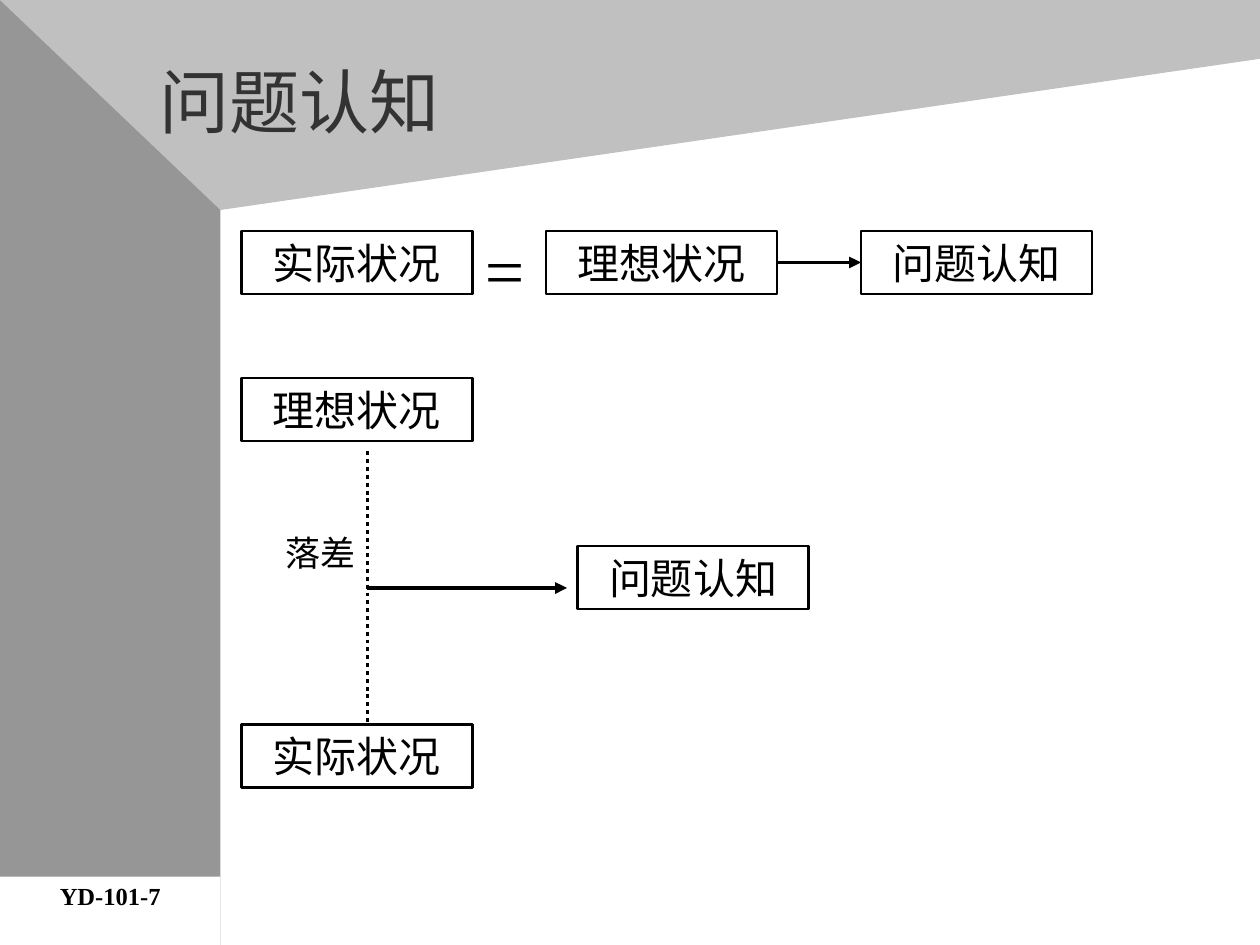
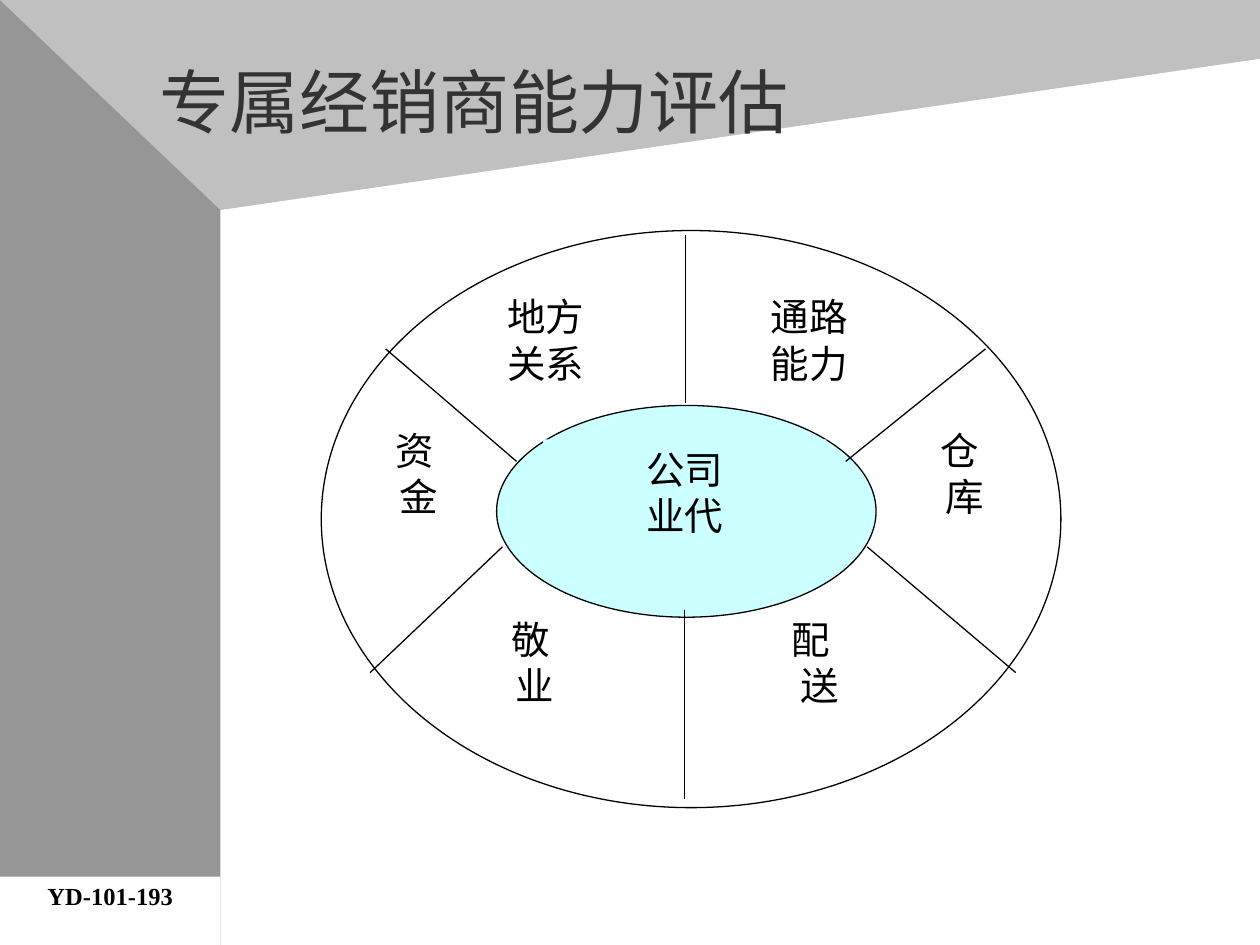
from dataclasses import dataclass

from lxml.etree import SubElement
from pptx import Presentation
from pptx.dml.color import RGBColor
from pptx.enum.dml import MSO_LINE
from pptx.enum.shapes import MSO_CONNECTOR, MSO_SHAPE
from pptx.enum.text import MSO_ANCHOR as Anchor, PP_ALIGN as Align
from pptx.oxml.ns import qn
from pptx.util import Inches, Pt

WIDTH, HEIGHT = 10, 7.5
BLACK, WHITE, TITLE_GREY = "000000", "FFFFFF", "333333"
SIDE_GREY, TOP_GREY, AQUA = "969696", "C0C0C0", "CCFFFF"
SERIF, TITLE_FONT, CJK_FONT = "Times New Roman", "Karla", "Noto Sans CJK SC"


@dataclass
class Area:
    left: float
    top: float
    width: float
    height: float
    cols: float
    rows: float

    def point(self, col, row):
        return (Inches(self.left + self.width * col / self.cols),
                Inches(self.top + self.height * row / self.rows))

    def box(self, col, row, cols, rows):
        return (*self.point(col, row),
                Inches(self.width * cols / self.cols),
                Inches(self.height * rows / self.rows))

    def region(self, col, row, cols, rows):
        col_width, row_height = self.width / self.cols, self.height / self.rows
        return Area(self.left + col * col_width, self.top + row * row_height,
                    cols * col_width, rows * row_height, cols, rows)


PAGE = Area(0, 0, WIDTH, HEIGHT, 120, 90)


def colour(value):
    return RGBColor.from_string(value)


def paint(shape, fill=None, line_width=None):
    shape.shadow.inherit = False
    if fill:
        shape.fill.solid()
        shape.fill.fore_color.rgb = colour(fill)
    else:
        shape.fill.background()
    if line_width:
        shape.line.color.rgb = colour(BLACK)
        shape.line.width = Pt(line_width)
    else:
        shape.line.fill.background()
    return shape


def add_figure(slide, kind, box, fill=None, line_width=None):
    return paint(slide.shapes.add_shape(kind, *box), fill, line_width)


def write(shape, lines, size, font=SERIF, ink=BLACK, align=Align.CENTER,
          bold=False, margins=(0.1, 0.05)):
    frame = shape.text_frame
    frame.word_wrap = True
    frame.vertical_anchor = Anchor.TOP
    frame.margin_left = frame.margin_right = Inches(margins[0])
    frame.margin_top = frame.margin_bottom = Inches(margins[1])
    frame.text = "\n".join(lines)
    for paragraph in frame.paragraphs:
        paragraph.alignment = align
        paragraph.font.name = font
        paragraph.font.size = Pt(size)
        paragraph.font.bold = bold
        paragraph.font.color.rgb = colour(ink)
    return shape


def add_text(slide, box, lines, size, **style):
    return write(slide.shapes.add_textbox(*box), lines, size, **style)


def add_line(slide, start, end, width, arrow=False):
    connector = slide.shapes.add_connector(MSO_CONNECTOR.STRAIGHT, *start, *end)
    connector.line.color.rgb = colour(BLACK)
    connector.line.width = Pt(width)
    properties = connector.element.spPr
    if arrow:
        SubElement(properties.get_or_add_ln(), qn("a:tailEnd"), type="triangle")
    SubElement(properties, qn("a:effectLst"))
    return connector


def add_page(deck, title, code):
    slide = deck.slides.add_slide(deck.slide_layouts[6])
    add_figure(slide, MSO_SHAPE.RECTANGLE, PAGE.box(0, 0, 21, 90), SIDE_GREY)
    band = slide.shapes.build_freeform(0, 0)
    band.add_line_segments([PAGE.point(21, 20), PAGE.point(120, 5.6), PAGE.point(120, 0)])
    paint(band.convert_to_shape(), TOP_GREY)
    footer = add_figure(slide, MSO_SHAPE.RECTANGLE, PAGE.box(0, 83.5, 21, 6.6), WHITE)
    write(footer, [code], 14, bold=True).text_frame.paragraphs[0].line_spacing = 0.95
    add_text(slide, PAGE.box(14, 5, 98, 15), [title], 40, font=TITLE_FONT,
             ink=TITLE_GREY, align=Align.LEFT)
    return slide


def add_state(slide, area, col, row, name):
    state = add_figure(slide, MSO_SHAPE.RECTANGLE, area.box(col, row, 22, 6), line_width=1.5)
    return write(state, [name], 24)


def add_equal_case(slide, area):
    add_state(slide, area, 0, 0, "实际状况")
    ideal = add_state(slide, area, 29, 0, "理想状况")
    problem = add_state(slide, area, 59, 0, "问题认知")
    add_text(slide, area.box(22, -1, 7, 9.2), ["="], 40, align=Align.LEFT)
    leads_to = add_line(slide, area.point(51, 3), area.point(59, 3), 2.25, arrow=True)
    leads_to.begin_connect(ideal, 3)
    leads_to.end_connect(problem, 1)


def add_gap_case(slide, area):
    for col, row, name in [(0, 33, "实际状况"), (0, 0, "理想状况"), (32, 16, "问题认知")]:
        add_state(slide, area, col, row, name)
    add_text(slide, area.box(3, 14, 10, 5.3), ["落差"], 20, align=Align.LEFT)
    gap = add_line(slide, area.point(12, 7), area.point(12, 33), 2.25)
    gap.line.dash_style = MSO_LINE.ROUND_DOT
    add_line(slide, area.point(12, 20), area.point(31, 20), 2.25, arrow=True)


def add_ability_wheel(slide, wheel):
    add_figure(slide, MSO_SHAPE.OVAL, wheel.box(0, 0, 100, 100), WHITE, 0.75)
    add_figure(slide, MSO_SHAPE.OVAL, wheel.box(23.7, 30.3, 51.3, 36.7), AQUA, 0.75)
    hub = add_figure(slide, MSO_SHAPE.RECTANGLE, wheel.box(30, 36.2, 38.3, 18.3), AQUA)
    write(hub, ["公司", "业代"], 22)

    spokes = [
        ((49.2, 0.7), (49.2, 29.9)),
        ((8.7, 20.5), (26.4, 40)),
        ((70.9, 40), (89.8, 20.5)),
        ((24.5, 54.8), (6.6, 76.6)),
        ((73.8, 54.8), (93.9, 76.6)),
        ((49.1, 65.7), (49.1, 98.5)),
    ]
    for start, end in spokes:
        add_line(slide, wheel.point(*start), wheel.point(*end), 0.75)

    for col, lines in [(46.8, ["通路", "能力"]), (11.2, ["地方", "关系"])]:
        add_text(slide, wheel.box(col, 10.9, 38.3, 16), lines, 22, margins=(0.06, 0))
    abilities = [
        (13.5, 65.7, ["敬 ", "业"], SERIF),
        (-2.2, 33, ["资 ", "金"], CJK_FONT),
        (71.6, 33, ["仓 ", "库"], SERIF),
        (51.4, 65.7, ["配 ", " 送"], SERIF),
    ]
    for col, row, lines, font in abilities:
        add_text(slide, wheel.box(col, row, 30.7, 18.3), lines, 22, font=font)


def main():
    deck = Presentation()
    deck.slide_width, deck.slide_height = Inches(WIDTH), Inches(HEIGHT)

    recognition = add_page(deck, "问题认知", "YD-101-7")
    add_equal_case(recognition, PAGE.region(23, 22, 81, 6))
    add_gap_case(recognition, PAGE.region(23, 36, 54, 39))

    assessment = add_page(deck, "专属经销商能力评估", "YD-101-193")
    add_ability_wheel(assessment, Area(2.55, 1.83, 5.87, 4.58, 100, 100))

    deck.save("out.pptx")


if __name__ == "__main__":
    main()
